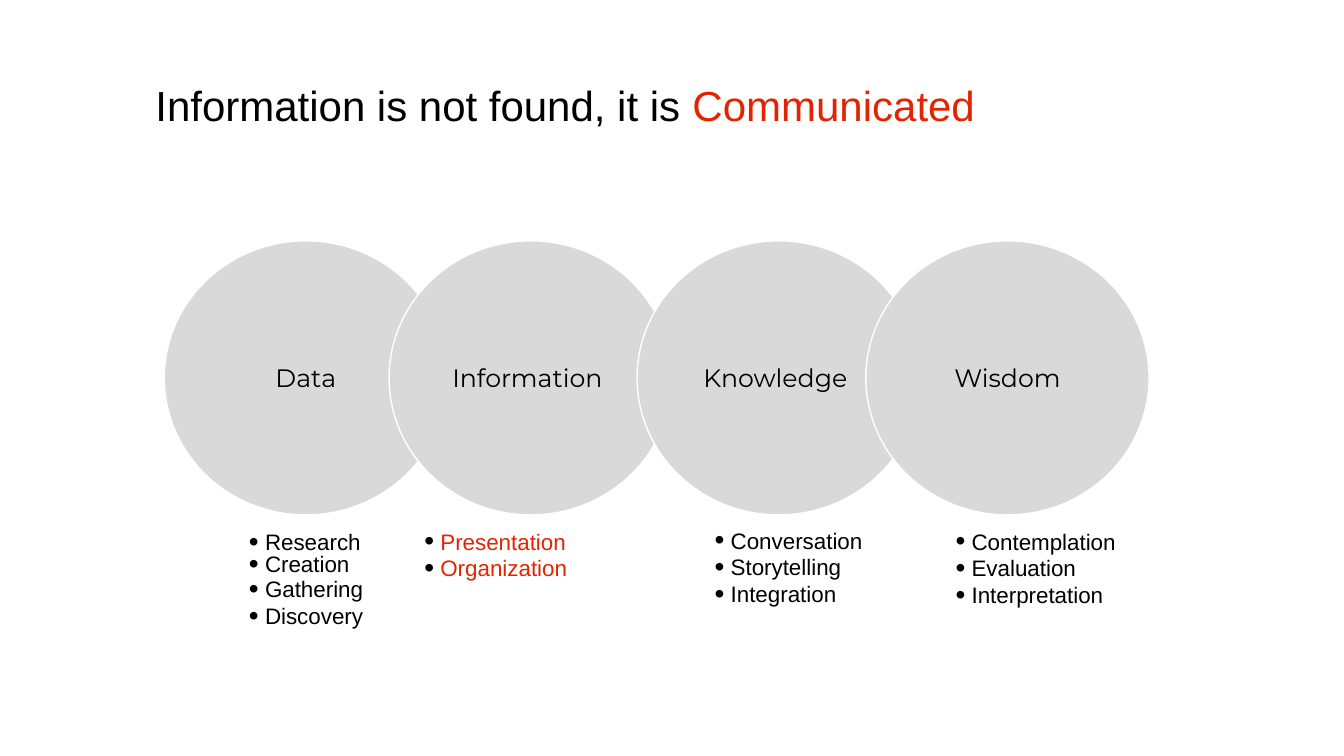
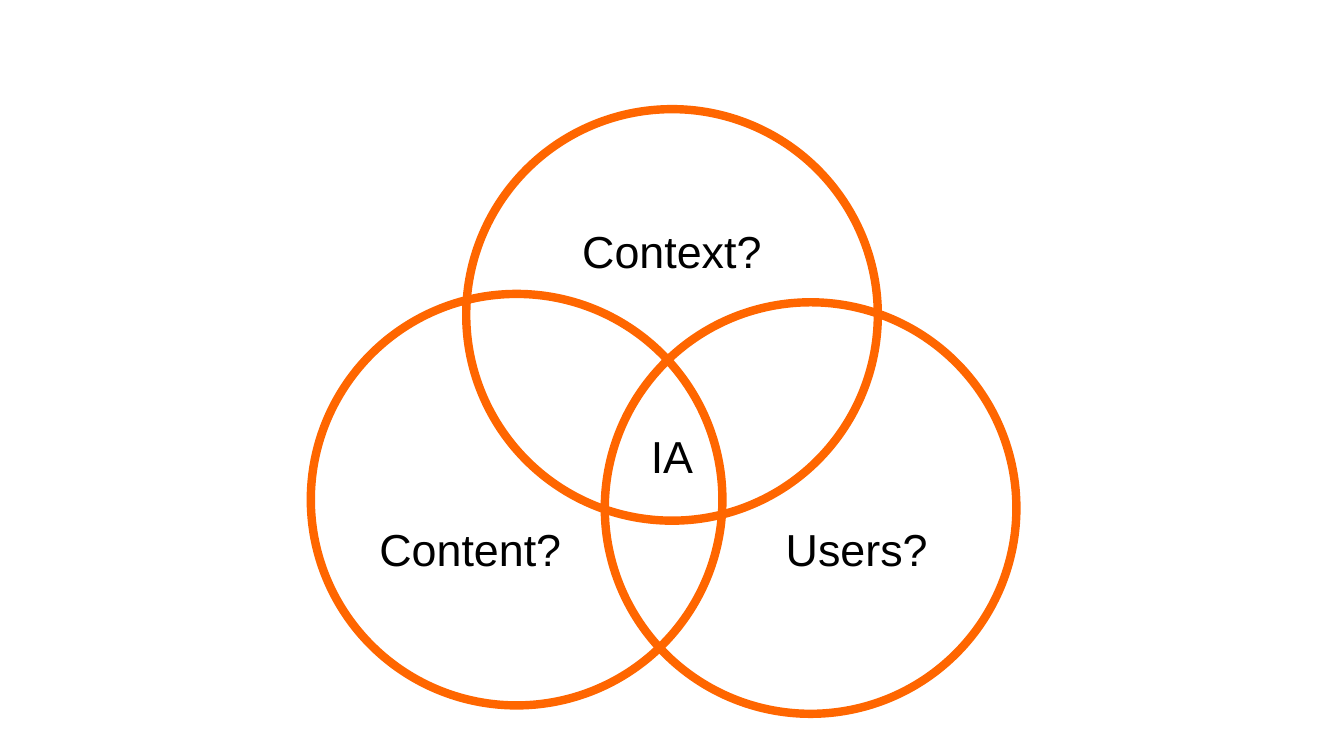
from dataclasses import dataclass

from lxml.etree import SubElement
from pptx import Presentation
from pptx.dml.color import RGBColor
from pptx.enum.shapes import MSO_SHAPE as Preset
from pptx.enum.text import MSO_ANCHOR as Anchor, MSO_AUTO_SIZE as AutoSize, PP_ALIGN as Align
from pptx.oxml.ns import qn
from pptx.util import Inches, Pt

COLUMNS, ROWS = 160, 90
COMPARISON_LAYOUT, BLANK_LAYOUT = 4, 6


@dataclass(frozen=True)
class Theme:
    text: str = "000000"
    accent: str = "E22400"
    ring: str = "FF6600"
    disc: str = "D9D9D9"
    edge: str = "FFFFFF"
    font: str = "Arial"
    disc_font: str = "Montserrat"
    title_size: float = 30
    title_pitch: float = 36
    disc_size: float = 18
    list_size: float = 16
    list_pitch: float = 19
    list_indent: float = 11.45
    bullet_scale: int = 125
    label_size: float = 32
    edge_width: float = 1
    ring_width: float = 6


THEME = Theme()


@dataclass(frozen=True)
class Box:
    left: float
    top: float
    width: float
    height: float

    def inner(self, left, top, width, height):
        return Box(self.left + left, self.top + top, width, height)

    def lengths(self):
        cell = Inches(13.33) / COLUMNS
        return [round(cell * side) for side in (self.left, self.top, self.width, self.height)]


@dataclass(frozen=True)
class Stage:
    name: str
    disc_left: float
    list_left: float
    list_top: float
    items: tuple
    color: str = THEME.text
    pitches: tuple = (THEME.list_pitch,) * 3


STAGES = (
    Stage("Data", 0, 10.08, 34.2, ("Research", "Creation", "Gathering", "Discovery"),
          pitches=(19.4, 15.7, 17.6, 19.6)),
    Stage("Information ", 26.76, 30.96, 34.2, ("Presentation", "Organization"), THEME.accent),
    Stage("Knowledge ", 56.28, 65.52, 34.08, ("Conversation", "Storytelling", "Integration")),
    Stage("Wisdom", 83.52, 94.2, 34.2, ("Contemplation", "Evaluation", "Interpretation")),
)

RINGS = ((0, 22), (35, 23), (18.5, 0))
LABELS = (
    ("Users?", 49, 48.5, 32),
    ("Content?", 5, 48.5, 28),
    ("Context?", 27, 13, 32),
    ("IA", 27, 37.5, 32),
)


def add_run(paragraph, text, size, color=THEME.text, font=THEME.font):
    run = paragraph.add_run()
    run.text = text
    run.font.size = Pt(size)
    run.font.bold = False
    run.font.name = font
    run.font.color.rgb = RGBColor.from_string(color)


def place(shape, box):
    shape.left, shape.top, shape.width, shape.height = box.lengths()


def prepare_placeholder(placeholder, box, wrap):
    place(placeholder, box)
    frame = placeholder.text_frame
    frame.margin_left = frame.margin_top = frame.margin_right = frame.margin_bottom = 0
    frame.auto_size = AutoSize.NONE
    frame.vertical_anchor = Anchor.TOP
    frame.word_wrap = wrap
    return frame


def add_circle(slide, box, line_color, line_width, fill_color=None):
    circle = slide.shapes.add_shape(Preset.OVAL, *box.lengths())
    circle.shadow.inherit = False
    if fill_color:
        circle.fill.solid()
        circle.fill.fore_color.rgb = RGBColor.from_string(fill_color)
    else:
        circle.fill.background()
    circle.line.color.rgb = RGBColor.from_string(line_color)
    circle.line.width = Pt(line_width)
    return circle


def add_bullet(paragraph):
    properties = paragraph._p.get_or_add_pPr()
    properties.set("marL", str(Pt(THEME.list_indent)))
    properties.set("indent", str(-Pt(THEME.list_indent)))
    bullet_color = SubElement(properties, qn("a:buClr"))
    SubElement(bullet_color, qn("a:srgbClr"), val=THEME.text)
    SubElement(properties, qn("a:buSzPct"), val=str(THEME.bullet_scale * 1000))
    SubElement(properties, qn("a:buFont"), typeface=THEME.font)
    SubElement(properties, qn("a:buChar"), char="•")


def fill_title(slide, box, runs):
    paragraph = prepare_placeholder(slide.shapes.title, box, False).paragraphs[0]
    paragraph.alignment = Align.LEFT
    paragraph.line_spacing = Pt(THEME.title_pitch)
    for text, color in runs:
        add_run(paragraph, text, THEME.title_size, color)


def fill_list(placeholder, box, stage):
    frame = prepare_placeholder(placeholder, box, True)
    for index, (item, pitch) in enumerate(zip(stage.items, stage.pitches)):
        paragraph = frame.add_paragraph() if index else frame.paragraphs[0]
        add_bullet(paragraph)
        paragraph.alignment = Align.LEFT
        paragraph.space_before = Pt(0)
        paragraph.line_spacing = Pt(pitch)
        add_run(paragraph, item, THEME.list_size, stage.color)


def add_stage_chain(slide, box):
    bodies = list(slide.placeholders)[1:]
    for stage, body in zip(STAGES, bodies):
        disc_box = box.inner(stage.disc_left, 0, 33.72, 32.64)
        disc = add_circle(slide, disc_box, THEME.edge, THEME.edge_width, THEME.disc)
        disc.text_frame.vertical_anchor = Anchor.MIDDLE
        paragraph = disc.text_frame.paragraphs[0]
        paragraph.alignment = Align.CENTER
        add_run(paragraph, stage.name, THEME.disc_size, font=THEME.disc_font)
        fill_list(body, box.inner(stage.list_left, stage.list_top, 23, 14), stage)


def add_venn(slide, box):
    for left, top in RINGS:
        add_circle(slide, box.inner(left, top, 49, 49), THEME.ring, THEME.ring_width)
    for text, left, top, width in LABELS:
        label = slide.shapes.add_textbox(*box.inner(left, top, width, 7.5).lengths())
        label.text_frame.word_wrap = True
        paragraph = label.text_frame.paragraphs[0]
        paragraph.alignment = Align.CENTER
        add_run(paragraph, text, THEME.label_size)


def build_chain_slide(presentation, page):
    slide = presentation.slides.add_slide(presentation.slide_layouts[COMPARISON_LAYOUT])
    fill_title(slide, page.inner(18.5, 9.5, 98.5, 12),
               (("Information is not found, it is ", THEME.text), ("Communicated", THEME.accent)))
    add_stage_chain(slide, page.inner(19.56, 28.68, 117.24, 49))


def build_venn_slide(presentation, page):
    slide = presentation.slides.add_slide(presentation.slide_layouts[BLANK_LAYOUT])
    add_venn(slide, page.inner(37, 13, 84, 72))


def main():
    presentation = Presentation()
    presentation.slide_width = Inches(13.33)
    presentation.slide_height = Inches(7.5)
    page = Box(0, 0, COLUMNS, ROWS)
    build_chain_slide(presentation, page)
    build_venn_slide(presentation, page)
    presentation.save("out.pptx")


if __name__ == "__main__":
    main()
